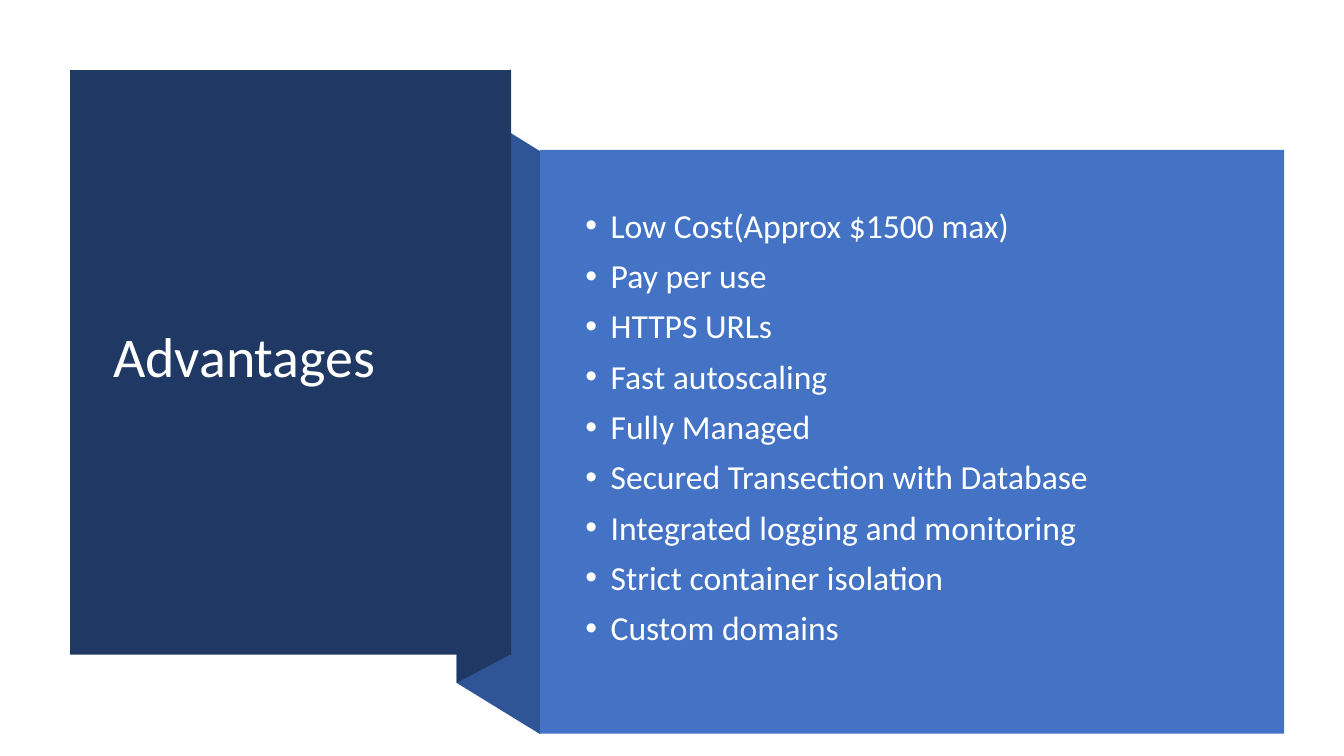
from lxml import etree
from pptx import Presentation
from pptx.dml.color import RGBColor
from pptx.enum.shapes import MSO_SHAPE
from pptx.enum.text import MSO_ANCHOR
from pptx.oxml.ns import qn
from pptx.util import Cm, Pt

RECTANGLE = MSO_SHAPE.RECTANGLE
MIDDLE = MSO_ANCHOR.MIDDLE

NAVY = RGBColor(0x20, 0x38, 0x64)
FOLD_BLUE = RGBColor(0x2F, 0x55, 0x97)
PANEL_BLUE = RGBColor(0x44, 0x72, 0xC4)
WHITE = RGBColor(0xFF, 0xFF, 0xFF)
BODY_WHITE = RGBColor(0xFE, 0xFF, 0xFF)
FONT = "Calibri"

ADVANTAGES = [
    "Low Cost(Approx $1500 max)",
    "Pay per use",
    "HTTPS URLs",
    "Fast autoscaling",
    "Fully Managed",
    "Secured Transection with Database",
    "Integrated logging and monitoring",
    "Strict container isolation",
    "Custom domains",
]

# Ribbon edges in cm
FOLD_LEFT = 11.51
TITLE_RIGHT = 12.87
PANEL_LEFT = 13.61


def paint(shape, color):
    """Give a shape a flat fill with no line or shadow."""
    shape.fill.solid()
    shape.fill.fore_color.rgb = color
    shape.line.fill.background()
    shape.shadow.inherit = False


def add_text(left, top, width, height, lines, size, color):
    """Add a middle-anchored text box with one paragraph per line."""
    box = slide.shapes.add_textbox(Cm(left), Cm(top), Cm(width), Cm(height))
    text_frame = box.text_frame
    text_frame.word_wrap = True
    text_frame.vertical_anchor = MIDDLE
    text_frame.text = "\n".join(lines)
    for paragraph in text_frame.paragraphs:
        paragraph.line_spacing = 0.9
        font = paragraph.runs[0].font
        font.name = FONT
        font.size = Pt(size)
        font.color.rgb = color
    return text_frame


presentation = Presentation()
presentation.slide_width = Cm(33.87)
presentation.slide_height = Cm(19.05)
slide = presentation.slides.add_slide(presentation.slide_layouts[6])

# Folded ribbon behind the two panels
folds = [
    (FOLD_BLUE, [(PANEL_LEFT, 18.5), (FOLD_LEFT, 17.21),
                 (FOLD_LEFT, 2.51), (PANEL_LEFT, 3.81)]),
    (NAVY, [(TITLE_RIGHT, 16.49), (FOLD_LEFT, 17.21),
            (FOLD_LEFT, 2.49), (TITLE_RIGHT, 1.75)]),
]
for color, corners in folds:
    points = [(Cm(x), Cm(y)) for x, y in corners]
    builder = slide.shapes.build_freeform(*points[0])
    builder.add_line_segments(points[1:], close=True)
    paint(builder.convert_to_shape(), color)

# Title panel and list panel
panels = [
    (NAVY, 1.77, 1.77, 11.11, 14.73),
    (PANEL_BLUE, PANEL_LEFT, 3.78, 18.75, 14.71),
]
for color, *box in panels:
    paint(slide.shapes.add_shape(RECTANGLE, *map(Cm, box)), color)

add_text(2.6, 2.72, 9.42, 12.67, ["Advantages"], 40, WHITE)
advantages = add_text(14.5, 4.78, 16.54, 12.04, ADVANTAGES, 24, BODY_WHITE)

for paragraph in advantages.paragraphs:
    paragraph.space_before = Pt(10)
    properties = paragraph._p.get_or_add_pPr()
    properties.set("marL", str(Cm(0.64)))
    properties.set("indent", str(-Cm(0.64)))
    bullet_font = etree.SubElement(properties, qn("a:buFont"))
    bullet_font.set("typeface", "Arial")
    bullet = etree.SubElement(properties, qn("a:buChar"))
    bullet.set("char", "•")

presentation.save("out.pptx")
